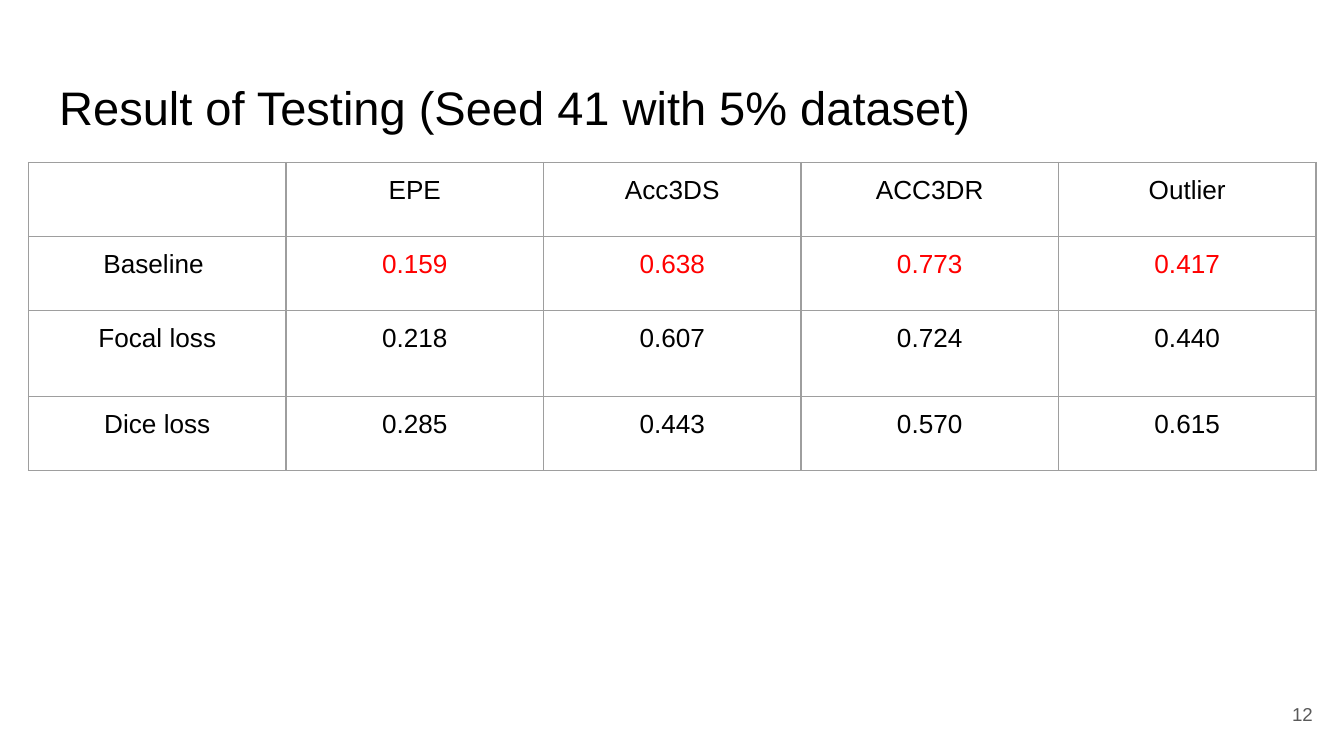
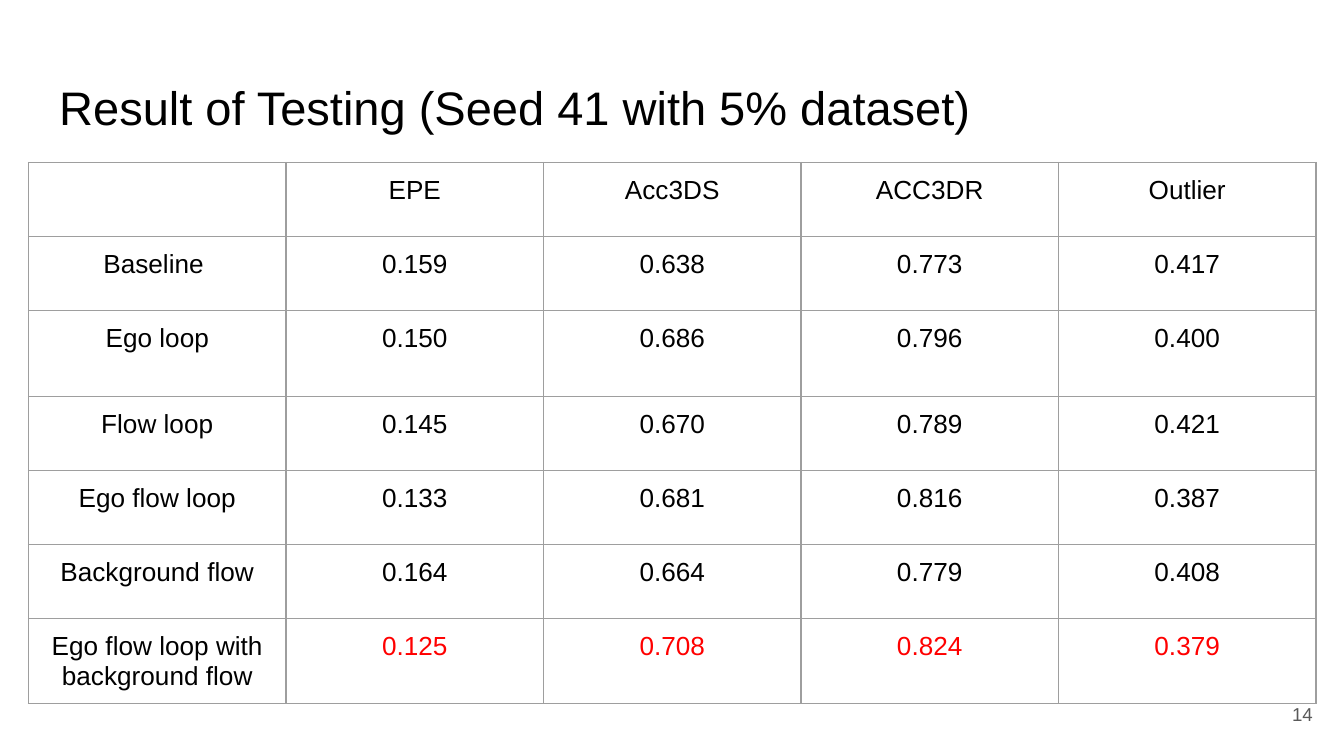
from dataclasses import dataclass

from lxml.etree import SubElement
from pptx import Presentation
from pptx.dml.color import RGBColor
from pptx.enum.text import MSO_ANCHOR, PP_ALIGN
from pptx.oxml.ns import qn
from pptx.util import Cm, Pt


@dataclass(frozen=True)
class Theme:
    font: str = "Arial"
    ink: str = "000000"
    best: str = "FF0000"
    muted: str = "595959"
    grid: str = "9E9E9E"
    paper: str = "FFFFFF"
    title_size: float = 25.2
    cell_size: float = 14
    number_size: float = 10
    grid_width: float = 0.75
    inset: float = 0.25
    cell_bottom_inset: float = 0.1


THEME = Theme()

# Boxes are left, top, width, height in centimetres.
PAGE_SIZE = 25.4, 14.29
TITLE_BOX = 0.87, 1.24, 23.67, 1.6
NUMBER_BOX = 23.54, 12.95, 1.52, 1.1
TABLE_LEFT, TABLE_TOP, TABLE_WIDTH = 0.54, 3.07, 24.33
ROW_HEIGHT = 1.4
TALL_ROW_HEIGHTS = {2: 1.63, 6: 1.6}

TITLE = "Result of Testing (Seed 41 with 5% dataset)"
METRICS = ["", "EPE", "Acc3DS", "ACC3DR", "Outlier"]
BASELINE = ["Baseline ", "0.159", "0.638", "0.773", "0.417"]
LOSS_RESULTS = [
    BASELINE,
    ["Focal loss", "0.218", "0.607", "0.724", "0.440"],
    ["Dice loss", "0.285", "0.443", "0.570", "0.615"],
]
LOOP_RESULTS = [
    BASELINE,
    ["Ego loop", "0.150", "0.686", "0.796", "0.400"],
    ["Flow loop", "0.145", "0.670", "0.789", "0.421"],
    ["Ego flow loop", "0.133", "0.681", "0.816", "0.387"],
    ["Background flow", "0.164", "0.664", "0.779", "0.408"],
    ["Ego flow loop with background flow", "0.125", "0.708", "0.824", "0.379"],
]


def write_text(frame, text, *, size, color=THEME.ink, align=PP_ALIGN.LEFT):
    para = frame.paragraphs[0]
    para.alignment = align
    span = para.add_run()
    span.text = text
    span.font.name = THEME.font
    span.font.size = Pt(size)
    span.font.color.rgb = RGBColor.from_string(color)


def set_insets(target, bottom=THEME.inset):
    """Set the margins of a text frame or a table cell."""
    target.margin_left = target.margin_right = target.margin_top = Cm(THEME.inset)
    target.margin_bottom = Cm(bottom)


def add_text(page, box, text, *, anchor=MSO_ANCHOR.TOP, **text_format):
    frame = page.shapes.add_textbox(*map(Cm, box)).text_frame
    frame.word_wrap = True
    frame.vertical_anchor = anchor
    set_insets(frame)
    write_text(frame, text, **text_format)


def add_borders(cell):
    """Rule all four sides; borders must precede the fill in the cell's XML."""
    properties = cell._tc.get_or_add_tcPr()
    for side in ("a:lnL", "a:lnR", "a:lnT", "a:lnB"):
        line = SubElement(properties, qn(side), w=str(Pt(THEME.grid_width)))
        fill = SubElement(line, qn("a:solidFill"))
        SubElement(fill, qn("a:srgbClr"), val=THEME.grid)


def fill_cell(cell, text, color):
    add_borders(cell)
    cell.fill.background()
    set_insets(cell, bottom=THEME.cell_bottom_inset)
    if text:
        write_text(cell.text_frame, text, size=THEME.cell_size, color=color,
                   align=PP_ALIGN.CENTER)


def add_results_table(page, left, top, width, results, best_row):
    """Tabulate results under the metrics, with the values of best_row in red."""
    rows = [METRICS, *results]
    heights = [TALL_ROW_HEIGHTS.get(index, ROW_HEIGHT) for index in range(len(rows))]
    table = page.shapes.add_table(
        len(rows), len(METRICS), Cm(left), Cm(top), Cm(width), Cm(sum(heights))
    ).table
    table.first_row = table.horz_banding = False
    for row, height in zip(table.rows, heights):
        row.height = Cm(height)
    for row_index, row in enumerate(rows):
        for column_index, text in enumerate(row):
            is_best = row_index == best_row and column_index > 0
            fill_cell(table.cell(row_index, column_index), text,
                      THEME.best if is_best else THEME.ink)


def add_results_page(deck, number, results, best_row):
    page = deck.slides.add_slide(deck.slide_layouts[6])
    page.background.fill.solid()
    page.background.fill.fore_color.rgb = RGBColor.from_string(THEME.paper)
    add_text(page, TITLE_BOX, TITLE, size=THEME.title_size)
    add_text(page, NUMBER_BOX, str(number), size=THEME.number_size,
             color=THEME.muted, align=PP_ALIGN.RIGHT, anchor=MSO_ANCHOR.MIDDLE)
    add_results_table(page, TABLE_LEFT, TABLE_TOP, TABLE_WIDTH, results, best_row)


def main():
    deck = Presentation()
    deck.slide_width, deck.slide_height = map(Cm, PAGE_SIZE)
    add_results_page(deck, 12, LOSS_RESULTS, best_row=1)
    add_results_page(deck, 14, LOOP_RESULTS, best_row=6)
    deck.save("out.pptx")


if __name__ == "__main__":
    main()
